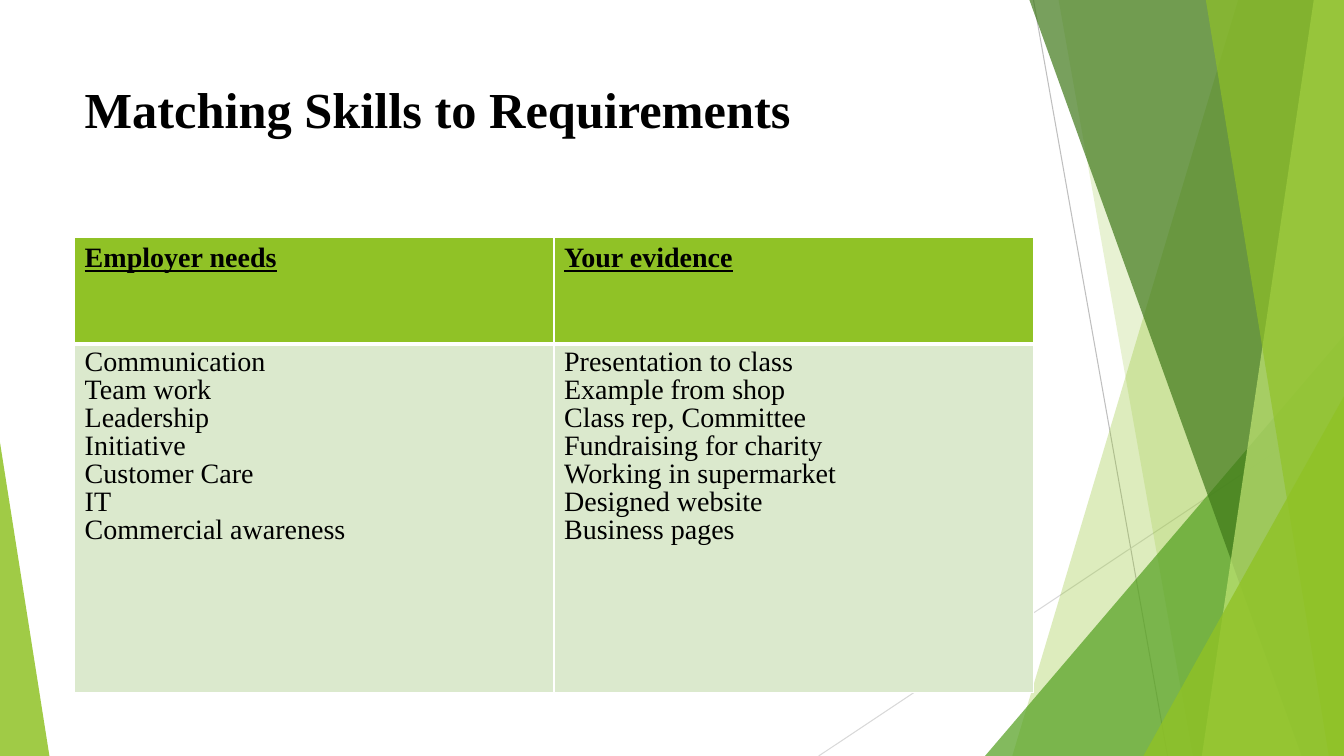
from pptx import Presentation
from pptx import util as u
from pptx.dml.color import RGBColor
from pptx.enum import shapes, text
from pptx.oxml.ns import qn
from lxml import etree

FONT = "Times New Roman"
COLORS = {
    "lime": "90C226", "green": "54A021", "forest": "3F7819", "pale": "C0E474",
    "cell": "DBE9CD", "white": "FFFFFF", "black": "000000",
    "grey": "BFBFBF", "light_grey": "D9D9D9",
}
WIDTH, HEIGHT = 13.33, 7.5
HEADERS = ["Employer needs", "Your evidence"]
MATCHES = [
    ("Communication", "Presentation to class"),
    ("Team work", "Example from shop"),
    ("Leadership", "Class rep, Committee"),
    ("Initiative", "Fundraising for charity"),
    ("Customer Care", "Working in supermarket"),
    ("IT", "Designed website"),
    ("Commercial awareness", "Business pages"),
]


def rgb(name):
    return RGBColor.from_string(COLORS[name])


def paint(sp, color, opacity):
    """Fill a shape with a see-through colour and no outline or shadow."""
    sp.shadow.inherit = False
    sp.fill.solid()
    sp.fill.fore_color.rgb = rgb(color)
    sp.line.fill.background()
    clr = sp.fill._xPr.find(qn("a:solidFill"))[0]
    etree.SubElement(clr, qn("a:alpha"), val=str(opacity * 1000))


def add_ray(s, start, end, color):
    line = s.shapes.add_connector(
        shapes.MSO_CONNECTOR.STRAIGHT, *(u.Inches(v) for v in start + end))
    line.line.color.rgb = rgb(color)
    line.line.width = u.Pt(0.75)
    etree.SubElement(line._element.spPr, qn("a:effectLst"))


def add_band(s, top_x, bottom_x, color, opacity):
    """Fill from a slanted left edge to the right side of the slide."""
    builder = s.shapes.build_freeform(u.Inches(top_x), 0, scale=1.0)
    corners = [(WIDTH, 0), (WIDTH, HEIGHT), (bottom_x, HEIGHT)]
    builder.add_line_segments([(u.Inches(x), u.Inches(y)) for x, y in corners])
    paint(builder.convert_to_shape(), color, opacity)


def add_corner(s, x, y, w, apex, color, opacity):
    """Place a right triangle on the bottom edge; apex is 0 (left) or 1 (right)."""
    sp = s.shapes.add_shape(
        shapes.MSO_SHAPE.ISOSCELES_TRIANGLE,
        *(u.Inches(v) for v in (x, y, w, HEIGHT - y)))
    sp.adjustments[0] = apex
    paint(sp, color, opacity)


def add_facets(s):
    add_ray(s, (10.25, 0), (11.58, HEIGHT), "grey")
    add_ray(s, (WIDTH, 4.03), (8.12, HEIGHT), "light_grey")
    add_band(s, 12.28, 10.04, "lime", 30)
    add_band(s, 10.5, 11.83, "lime", 20)
    add_corner(s, 9.77, 3.33, 3.56, 1, "green", 72)
    add_band(s, 10.21, 12.91, "forest", 70)
    add_band(s, 13.03, 11.92, "pale", 70)
    add_band(s, 11.96, 13.18, "lime", 65)
    add_corner(s, 11.34, 3.93, 1.99, 1, "lime", 80)
    add_corner(s, 0, 4.39, 0.49, 0, "lime", 85)


def add_run(p, words, size, bold=False, underline=False):
    r = p.add_run()
    r.text = words
    r.font.name = FONT
    r.font.size = u.Pt(size)
    r.font.bold = bold
    r.font.underline = underline
    r.font.color.rgb = rgb("black")


def add_title(s, x, y, w, h):
    title = s.shapes.title
    title.left, title.top, title.width, title.height = (
        u.Inches(v) for v in (x, y, w, h))
    tf = title.text_frame
    tf.word_wrap = True
    tf.auto_size = text.MSO_AUTO_SIZE.NONE
    tf.vertical_anchor = text.MSO_ANCHOR.TOP
    tf.margin_top = u.Inches(0.1)
    p = tf.paragraphs[0]
    p.alignment = text.PP_ALIGN.LEFT
    add_run(p, "Matching Skills to Requirements", 36, bold=True)


def style_cell(cell, fill, top, bottom):
    """Fill a cell and draw its white borders, with top and bottom in points."""
    tc_pr = cell._tc.get_or_add_tcPr()
    for side, width in (("L", 1), ("R", 1), ("T", top), ("B", bottom)):
        ln = etree.SubElement(tc_pr, qn(f"a:ln{side}"), w=str(u.Pt(width)))
        solid = etree.SubElement(ln, qn("a:solidFill"))
        etree.SubElement(solid, qn("a:srgbClr"), val=COLORS["white"])
    cell.fill.solid()
    cell.fill.fore_color.rgb = rgb(fill)


def add_skills_table(s, x, y, w, h):
    header_h = 1.05
    table = s.shapes.add_table(
        2, len(HEADERS), *(u.Inches(v) for v in (x, y, w, h))).table
    table.rows[0].height = u.Inches(header_h)
    table.rows[1].height = u.Inches(h - header_h)
    for col, (header, entries) in enumerate(zip(HEADERS, zip(*MATCHES))):
        table.columns[col].width = u.Inches(w / len(HEADERS))
        head, body = table.cell(0, col), table.cell(1, col)
        style_cell(head, "lime", 1, 3)
        style_cell(body, "cell", 3, 1)
        add_run(head.text_frame.paragraphs[0], header, 20, True, True)
        tf = body.text_frame
        for i, entry in enumerate(entries):
            p = tf.add_paragraph() if i else tf.paragraphs[0]
            p.line_spacing = 0.9
            add_run(p, entry, 20)


def main():
    prs = Presentation()
    prs.slide_width, prs.slide_height = u.Inches(WIDTH), u.Inches(HEIGHT)
    s = prs.slides.add_slide(prs.slide_layouts.get_by_name("Title Only"))
    s.background.fill.solid()
    s.background.fill.fore_color.rgb = rgb("white")
    add_facets(s)
    add_title(s, 0.74, 0.67, 9.4, 0.9)
    add_skills_table(s, 0.74, 2.36, 9.51, 4.51)
    prs.save("out.pptx")


if __name__ == "__main__":
    main()
